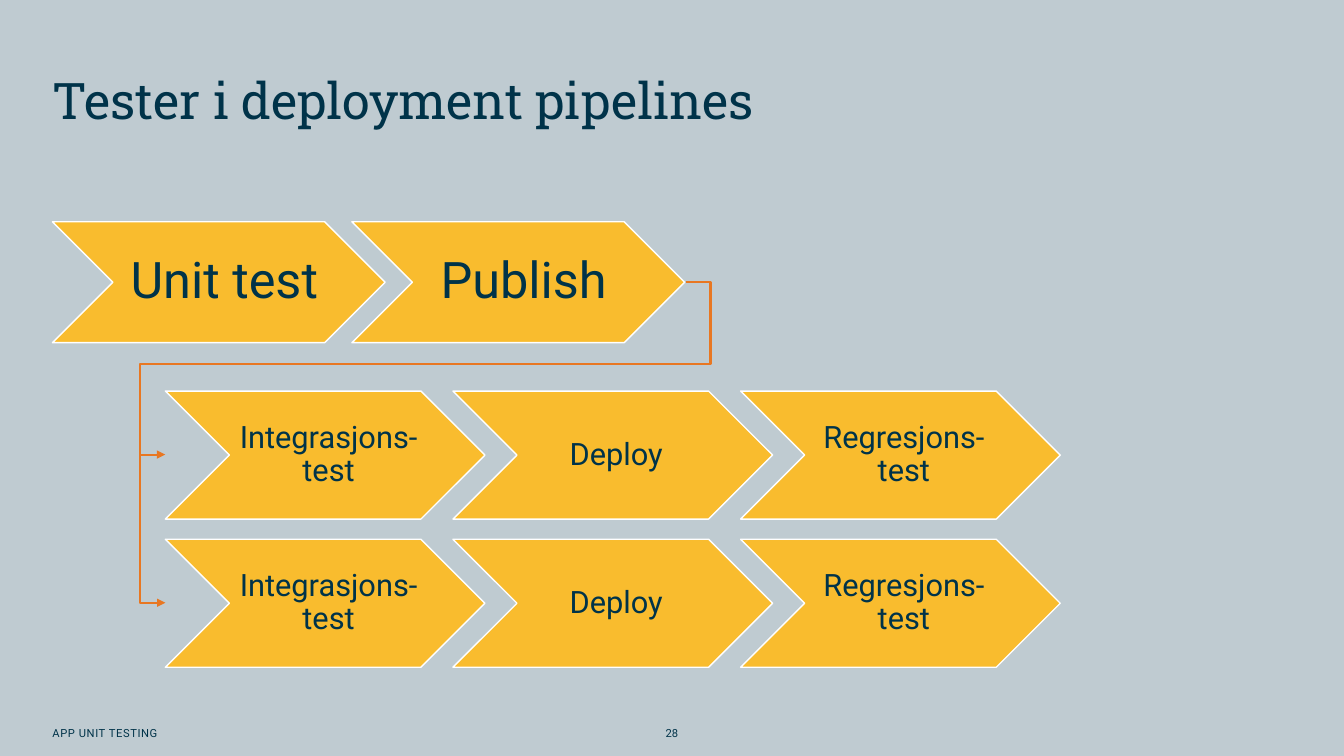
from lxml.etree import SubElement
from pptx import Presentation
from pptx.dml.color import RGBColor
from pptx.enum.shapes import MSO_CONNECTOR, MSO_SHAPE
from pptx.enum.text import MSO_ANCHOR, PP_ALIGN
from pptx.oxml.ns import qn
from pptx.util import Inches, Pt

COLORS = {"background": "BFCBD1", "navy": "003349", "yellow": "F9BC2E",
          "white": "FFFFFF", "orange": "E87722"}


def rgb(name):
    return RGBColor.from_string(COLORS[name])


def write(frame, text, size, font="Roboto", align=PP_ALIGN.LEFT,
          anchor=MSO_ANCHOR.MIDDLE, margins=(0, 0), line_spacing=1.0):
    frame.word_wrap = True
    frame.vertical_anchor = anchor
    frame.margin_left = Inches(margins[0])
    frame.margin_top = frame.margin_right = frame.margin_bottom = Inches(margins[1])
    paragraph = frame.paragraphs[0]
    paragraph.alignment = align
    paragraph.line_spacing = line_spacing
    run = paragraph.add_run()
    run.text = text
    run.font.size = Pt(size)
    run.font.name = font
    run.font.color.rgb = rgb("navy")
    return run


prs = Presentation()
prs.slide_width, prs.slide_height = Inches(13.33), Inches(7.5)
slide = prs.slides.add_slide(prs.slide_layouts[5])
slide.background.fill.solid()
slide.background.fill.fore_color.rgb = rgb("background")

# Title
title = slide.shapes.title
title.left, title.top = Inches(0.52), Inches(0.75)
title.width, title.height = Inches(8.98), Inches(1.18)
write(title.text_frame, "Tester i deployment pipelines", 36, "Roboto Slab",
      anchor=MSO_ANCHOR.TOP, line_spacing=0.9)

# Footer and page number
footer = slide.shapes.add_textbox(Inches(0.52), Inches(7.19), Inches(3.94), Inches(0.16))
footer_run = write(footer.text_frame, "APP UNIT TESTING", 8)
footer_run.font._element.set("spc", "40")
page_number = slide.shapes.add_textbox(Inches(6.27), Inches(7.19), Inches(0.79), Inches(0.16))
write(page_number.text_frame, "28", 8, align=PP_ALIGN.CENTER)

# Pipelines: steps, left, top, step width, height, text size, margins
build_steps = ["Unit test", "Publish"]
release_steps = ["Integrasjons-test", "Deploy", "Regresjons-test"]
pipelines = [
    (build_steps, 0.52, 2.2, 3.3, 1.2, 36, (0.16, 0.05)),
    (release_steps, 1.64, 3.88, 3.17, 1.27, 22, (0.1, 0.03)),
    (release_steps, 1.64, 5.35, 3.17, 1.27, 22, (0.1, 0.03)),
]
for steps, left, top, width, height, size, margins in pipelines:
    for index, label in enumerate(steps):
        # Each step overlaps the one before by a tenth of its width
        step = slide.shapes.add_shape(
            MSO_SHAPE.CHEVRON, Inches(left + index * width * 0.9), Inches(top),
            Inches(width), Inches(height))
        step.shadow.inherit = False
        step.fill.solid()
        step.fill.fore_color.rgb = rgb("yellow")
        step.line.color.rgb = rgb("white")
        step.line.width = Pt(1)
        write(step.text_frame, label, size, align=PP_ALIGN.CENTER,
              margins=margins, line_spacing=0.9)

# Arrows from Publish to both release pipelines: start, end, preset, bends
arrows = [
    ((6.8, 2.8), (1.64, 4.51), "bentConnector5", [-4800, 47600, 104800]),
    ((1.39, 4.51), (1.64, 5.98), "bentConnector3", [0]),
]
for start, end, preset, bends in arrows:
    arrow = slide.shapes.add_connector(
        MSO_CONNECTOR.ELBOW, *[Inches(value) for value in start + end])
    arrow.line.color.rgb = rgb("orange")
    arrow.line.width = Pt(1.5)
    properties = arrow._element.spPr
    geometry = properties.find(qn("a:prstGeom"))
    geometry.set("prst", preset)
    adjustments = geometry.find(qn("a:avLst"))
    for number, bend in enumerate(bends, 1):
        SubElement(adjustments, qn("a:gd"), name=f"adj{number}", fmla=f"val {bend}")
    SubElement(arrow.line._get_or_add_ln(), qn("a:tailEnd"), type="triangle")
    SubElement(properties, qn("a:effectLst"))

prs.save("out.pptx")
